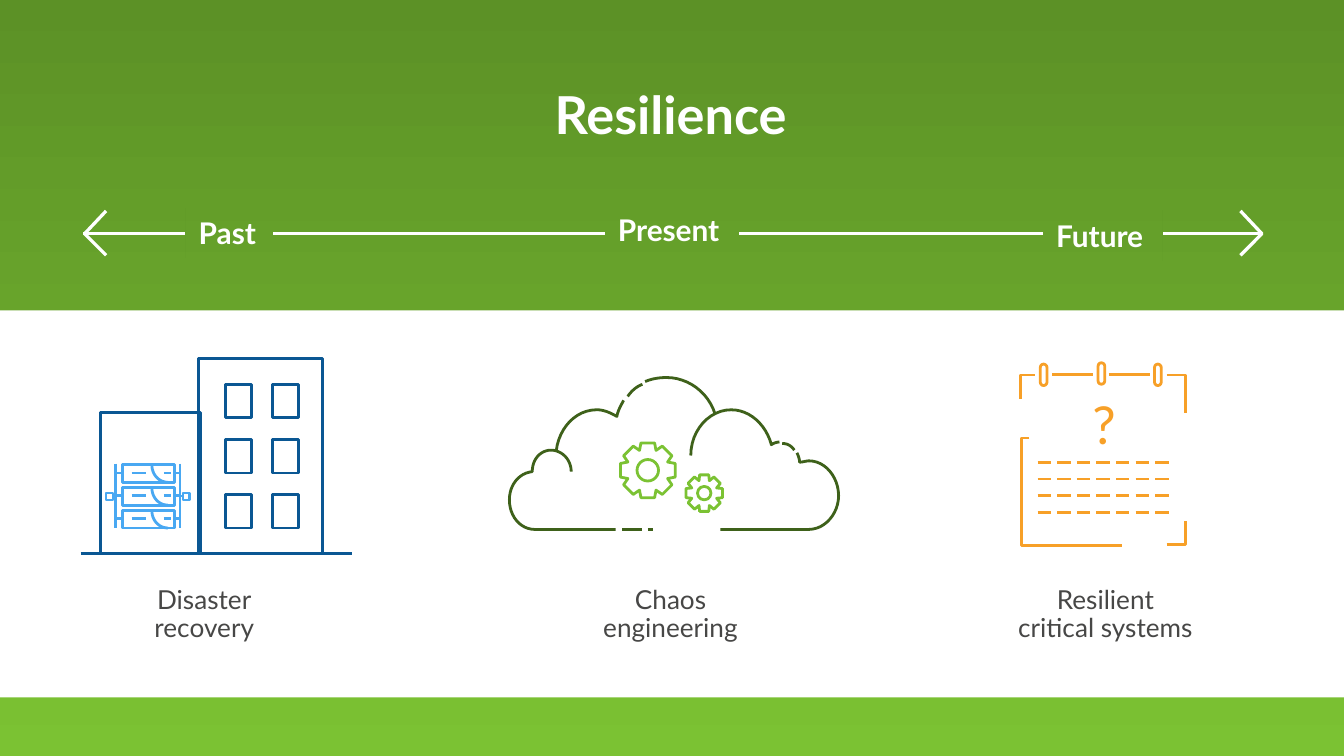
from math import cos, radians, sin

from lxml import etree
from pptx import Presentation, util as u
from pptx.dml.color import RGBColor
from pptx.enum import shapes as kinds, text as t
from pptx.oxml.ns import qn

# Content; all positions are in inches
FONT = "Lato"
COLORS = {"dark": "5C9126", "green": "7BC233", "white": "FFFFFF", "sky": "49A8F2",
          "navy": "0A5793", "forest": "3E611A", "orange": "F7A028", "grey": "474746"}
TITLE = "Resilience"
PERIODS = [("Past", 1.38, 1.55, 0.65), ("Present", 4.5, 1.53, 1), ("Future", 7.76, 1.57, 0.89)]
# Each caption is a list of paragraphs, each paragraph a list of lines
CAPTIONS = [([["Disaster", "recovery"]], 1.04, 0.96),
            ([["Chaos", "engineering"]], 4.36, 1.26),
            ([["Resilient"], ["critical systems"]], 7.45, 1.55)]
ARROWHEADS = [[(9.23, 1.57), (9.39, 1.74), (9.23, 1.9)],
              [(0.79, 1.57), (0.63, 1.74), (0.79, 1.9)]]
# In an outline, two numbers are a point; six are a cubic curve
CLOUD = [
    [(4.25, 3.51), (4.25, 3.42, 4.18, 3.35, 4.1, 3.35), (4.02, 3.35, 3.96, 3.42, 3.96, 3.51),
     (3.86, 3.52, 3.79, 3.61, 3.79, 3.72), (3.79, 3.84, 3.87, 3.94, 3.98, 3.94), (4.58, 3.94)],
    [(4.64, 2.98), (4.62, 3.02, 4.6, 3.05, 4.59, 3.1), (4.54, 3.07, 4.49, 3.05, 4.44, 3.05),
     (4.28, 3.05, 4.16, 3.19, 4.14, 3.35)],
    [(4.78, 2.86), (4.73, 2.88, 4.7, 2.91, 4.67, 2.95)],
    [(5.32, 3.08), (5.27, 2.92, 5.12, 2.81, 4.96, 2.81), (4.9, 2.81, 4.85, 2.82, 4.8, 2.84)],
    [(5.8, 3.29), (5.78, 3.29, 5.75, 3.3, 5.74, 3.31), (5.7, 3.16, 5.58, 3.05, 5.44, 3.05),
     (5.28, 3.05, 5.14, 3.2, 5.14, 3.39)],
    [(5.91, 3.35), (5.89, 3.32, 5.86, 3.3, 5.82, 3.3)],
    [(5.93, 3.37), (5.94, 3.39, 5.95, 3.42, 5.95, 3.44), (5.97, 3.44, 6, 3.43, 6.02, 3.43),
     (6.14, 3.43, 6.24, 3.55, 6.24, 3.69), (6.24, 3.82, 6.14, 3.94, 6.02, 3.94), (5.36, 3.94)],
]
CLOUD_DASHES = [(4.63, 4.78), (4.82, 4.86)]
# Centre, outer radius, inner radius, hub radius
GEARS = [(4.82, 3.5, 0.21, 0.16, 0.08), (5.24, 3.67, 0.14, 0.1, 0.05)]
CALENDAR = [
    [(7.66, 3.26), (7.6, 3.26), (7.6, 4.06), (8.35, 4.06)],
    [(8.68, 2.79), (8.82, 2.79), (8.82, 3.07)],
    [(7.7, 2.79), (7.59, 2.79), (7.59, 2.97)],
    [(8.68, 4.05), (8.82, 4.05), (8.82, 3.88)],
]
CALENDAR_TOP = [(7.83, 8.13), (8.25, 8.56)]
RINGS = [(7.74, 2.71), (8.17, 2.7), (8.59, 2.71)]
SERVER_DASHES = [(0.98, 1.09), (1.22, 1.27), (0.86, 0.91), (1.29, 1.34)]


def length(inches):
    return u.Cm(inches * 2.54)


def rgb(name):
    return RGBColor.from_string(COLORS[name])


def set_line(shape, color, width):
    shape.line.color.rgb = rgb(color)
    shape.line.width = u.Pt(width)


def add_outline(parent, kind, box, color, width=1.5):
    shape = parent.add_shape(kind, *map(length, box))
    shape.shadow.inherit = False
    shape.fill.background()
    set_line(shape, color, width)
    return shape


def add_line(parent, x1, y1, x2, y2, color, width=1.5):
    line = parent.add_connector(kinds.MSO_CONNECTOR.STRAIGHT, *map(length, (x1, y1, x2, y2)))
    set_line(line, color, width)
    etree.SubElement(line._element.spPr, qn("a:effectLst"))


def flatten(outline, steps=12):
    points = [outline[0]]
    for item in outline[1:]:
        if len(item) == 2:
            points.append(item)
            continue
        controls = [points[-1], item[:2], item[2:4], item[4:]]
        for step in range(1, steps + 1):
            a = step / steps
            weights = ((1 - a) ** 3, 3 * a * (1 - a) ** 2, 3 * a * a * (1 - a), a ** 3)
            points.append(tuple(sum(w * c[axis] for w, c in zip(weights, controls))
                                for axis in (0, 1)))
    return points


def add_path(parent, outline, color, width=1.5, close=False):
    points = [(length(x), length(y)) for x, y in flatten(outline)]
    builder = parent.build_freeform(*points[0])
    builder.add_line_segments(points[1:], close=close)
    shape = builder.convert_to_shape()
    shape.shadow.inherit = False
    shape.fill.background()
    set_line(shape, color, width)


def write(shape, paragraphs, size, color, bold=False, align=None, spacing=None):
    frame = shape.text_frame
    for index, lines in enumerate(paragraphs):
        paragraph = frame.add_paragraph() if index else frame.paragraphs[0]
        paragraph.alignment = align
        paragraph.line_spacing = spacing
        for number, line in enumerate(lines):
            if number:
                paragraph.add_line_break()
            run = paragraph.add_run()
            run.text = line
            run.font.name, run.font.size, run.font.bold = FONT, u.Pt(size), bold
            run.font.color.rgb = rgb(color)


def fit_text(shape):
    shape.text_frame.word_wrap = False
    shape.text_frame.auto_size = t.MSO_AUTO_SIZE.SHAPE_TO_FIT_TEXT


presentation = Presentation()
presentation.slide_width, presentation.slide_height = u.Cm(25.4), u.Cm(14.29)
slide = presentation.slides.add_slide(presentation.slide_layouts[5])
shapes = slide.shapes
RECT, OVAL = kinds.MSO_SHAPE.RECTANGLE, kinds.MSO_SHAPE.OVAL

# Background and white band
background = slide.background.fill
background.gradient()
background.gradient_angle = 270
for stop, name in zip(background.gradient_stops, ("dark", "green")):
    stop.color.rgb = rgb(name)
band = shapes.add_shape(RECT, *map(length, (-0.14, 2.31, 10.28, 2.88)))
band.shadow.inherit = False
band.fill.solid()
band.fill.fore_color.rgb = rgb("white")
band.line.fill.background()

# Title
title = shapes.title
title.left, title.top, title.width, title.height = map(length, (3.53, 0.44, 2.92, 0.81))
frame = title.text_frame
frame.margin_top = frame.margin_bottom = 0
frame.vertical_anchor = t.MSO_ANCHOR.MIDDLE
frame.auto_size = t.MSO_AUTO_SIZE.NONE
write(title, [[TITLE]], 28, "white", True, t.PP_ALIGN.CENTER)

# Timeline; each label shows the slide background to interrupt the line
add_line(shapes, 0.62, 1.74, 9.38, 1.74, "white", 1.75)
for arrowhead in ARROWHEADS:
    add_path(shapes, arrowhead, "white", 1.75)
for name, left, top, width in PERIODS:
    label = shapes.add_shape(RECT, *map(length, (left, top, width, 0.37)))
    label.shadow.inherit = False
    label.line.fill.background()
    label._element.set("useBgFill", "1")
    fit_text(label)
    label.text_frame.vertical_anchor = t.MSO_ANCHOR.TOP
    write(label, [[name]], 16, "white", True, t.PP_ALIGN.LEFT)

# Office building with servers
building = shapes.add_group_shape().shapes
for row in range(3):
    top = 3.46 + 0.17 * row
    add_outline(building, RECT, (0.91, top, 0.39, 0.13), "sky")
    add_path(building, [(1.13, top), (1.13, top + 0.07, 1.18, top + 0.13, 1.25, top + 0.13)], "sky")
    for start, end in SERVER_DASHES:
        add_line(building, start, top + 0.06, end, top + 0.06, "sky")
for rail in (0.86, 1.34):
    add_line(building, rail, 3.45, rail, 3.93, "sky")
for left, start, end in ((1.36, 1.34, 1.36), (0.79, 0.85, 0.87)):
    add_outline(building, RECT, (left, 3.67, 0.05, 0.05), "sky", 1.29)
    add_line(building, start, 3.69, end, 3.69, "sky", 1.29)
add_line(building, 0.6, 4.12, 2.62, 4.12, "navy")
windows = [(left, 2.86 + 0.41 * row, 0.19, 0.25) for row in range(3) for left in (1.68, 2.03)]
for box in [(1.48, 2.67, 0.92, 1.45), (0.75, 3.07, 0.74, 1.05)] + windows:
    add_outline(building, RECT, box, "navy")

# Cloud with gears
cloud = shapes.add_group_shape().shapes
for x, y, outer, inner, hub in GEARS:
    corners = [(45 * tooth + turn, radius) for tooth in range(8)
               for turn, radius in ((-14, outer), (14, outer), (22.5, inner))]
    add_path(cloud, [(x + r * sin(radians(a)), y - r * cos(radians(a))) for a, r in corners],
             "green", close=True)
    add_outline(cloud, OVAL, (x - hub, y - hub, 2 * hub, 2 * hub), "green")
for outline in CLOUD:
    add_path(cloud, outline, "forest")
for start, end in CLOUD_DASHES:
    add_line(cloud, start, 3.94, end, 3.94, "forest")

# Calendar
calendar = shapes.add_group_shape().shapes
for outline in CALENDAR:
    add_path(calendar, outline, "orange")
for start, end in CALENDAR_TOP:
    add_line(calendar, start, 2.79, end, 2.79, "orange")
for left, top in RINGS:
    ring = add_outline(calendar, kinds.MSO_SHAPE.ROUNDED_RECTANGLE, (left, top, 0.05, 0.16), "orange")
    ring.adjustments[0] = 0.5
for column in range(7):
    for row in range(4):
        x, y = 7.72 + 0.146 * column, 3.44 + 0.125 * row
        add_line(calendar, x, y, x + 0.1, y, "orange")
question = calendar.add_textbox(*map(length, (8.03, 2.87, 0.37, 0.57)))
fit_text(question)
write(question, [["?"]], 28, "orange")

# Captions
for paragraphs, left, width in CAPTIONS:
    caption = shapes.add_textbox(*map(length, (left, 4.32, width, 0.53)))
    fit_text(caption)
    write(caption, paragraphs, 14, "grey", align=t.PP_ALIGN.CENTER, spacing=0.9)

presentation.save("out.pptx")
